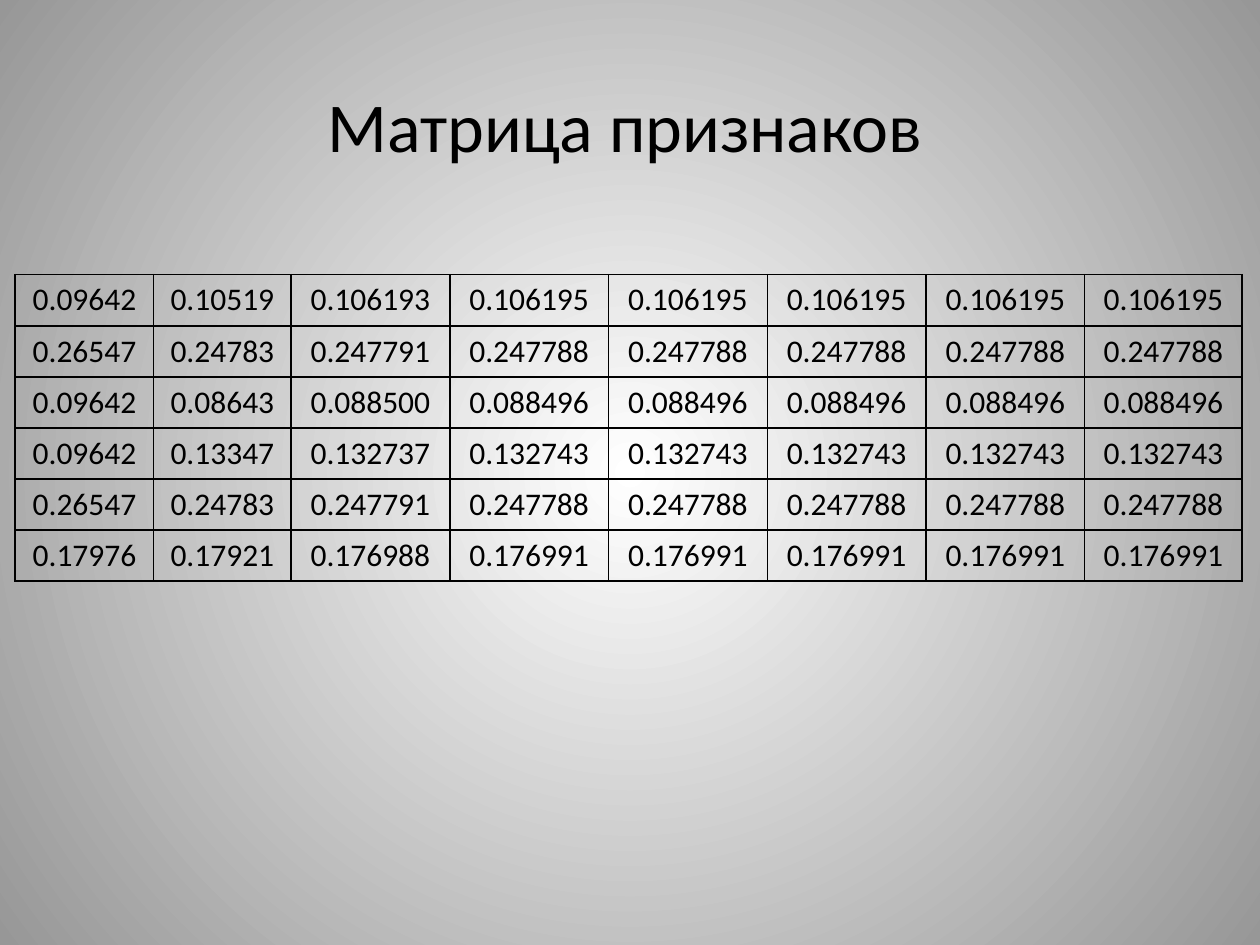
from lxml import etree
from pptx import Presentation
from pptx.dml.color import RGBColor
from pptx.enum.text import PP_ALIGN
from pptx.oxml import parse_xml
from pptx.oxml.ns import nsdecls, qn
from pptx.util import Inches, Pt

TITLE = "Матрица признаков"
# First three iterations, then the limit value that fills the remaining columns
FEATURES = [
    ("0.09642", "0.10519", "0.106193", "0.106195"),
    ("0.26547", "0.24783", "0.247791", "0.247788"),
    ("0.09642", "0.08643", "0.088500", "0.088496"),
    ("0.09642", "0.13347", "0.132737", "0.132743"),
    ("0.26547", "0.24783", "0.247791", "0.247788"),
    ("0.17976", "0.17921", "0.176988", "0.176991"),
]
LIMIT_COLUMNS = 5
COL_WIDTHS = [1.1, 1.09] + [1.26] * 5 + [1.25]
ROW_HEIGHT = 0.405
COLORS = {"text": "000000", "border": "000000", "center": "FFFFFF", "edge": "979797"}
FONT = "Calibri"


def format_paragraph(p, size):
    p.alignment = PP_ALIGN.CENTER
    p.font.name = FONT
    p.font.size = Pt(size)
    p.font.bold = False
    p.font.color.rgb = RGBColor.from_string(COLORS["text"])


def add_borders(cell):
    tc_pr = cell._tc.get_or_add_tcPr()
    for i, side in enumerate(("lnL", "lnR", "lnT", "lnB")):
        tc_pr.insert(i, parse_xml(
            f'<a:{side} {nsdecls("a")} w="{Pt(1)}"><a:solidFill>'
            f'<a:srgbClr val="{COLORS["border"]}"/></a:solidFill></a:{side}>'))


prs = Presentation()
prs.slide_width, prs.slide_height = Inches(10), Inches(7.5)
s = prs.slides.add_slide(prs.slide_layouts[5])

# Background: circular gradient from the slide centre
fill = s.background.fill
fill.gradient()
for stop, position, name in zip(fill.gradient_stops, (0, 1), ("center", "edge")):
    stop.position = position
    stop.color.rgb = RGBColor.from_string(COLORS[name])
grad = s._element.find(".//" + qn("a:gradFill"))
grad.remove(grad.find(qn("a:lin")))
circle = etree.SubElement(grad, qn("a:path"), path="circle")
etree.SubElement(circle, qn("a:fillToRect"),
                 {side: "50000" for side in ("l", "t", "r", "b")})

# Title
title = s.shapes.title
title.left, title.top = Inches(0.51), Inches(0.6)
title.width, title.height = Inches(8.9), Inches(0.77)
title.text_frame.text = TITLE
format_paragraph(title.text_frame.paragraphs[0], 40)

# Feature matrix
table = s.shapes.add_table(
    len(FEATURES), len(COL_WIDTHS), Inches(0.12), Inches(2.18),
    Inches(sum(COL_WIDTHS)), Inches(ROW_HEIGHT * len(FEATURES))).table
table.first_row = table.horz_banding = False
for column, width in zip(table.columns, COL_WIDTHS):
    column.width = Inches(width)
for row, (*first, limit) in zip(table.rows, FEATURES):
    row.height = Inches(ROW_HEIGHT)
    for cell, value in zip(row.cells, first + [limit] * LIMIT_COLUMNS):
        cell.text = value
        cell.fill.background()
        add_borders(cell)
        format_paragraph(cell.text_frame.paragraphs[0], 18)

prs.save("out.pptx")
